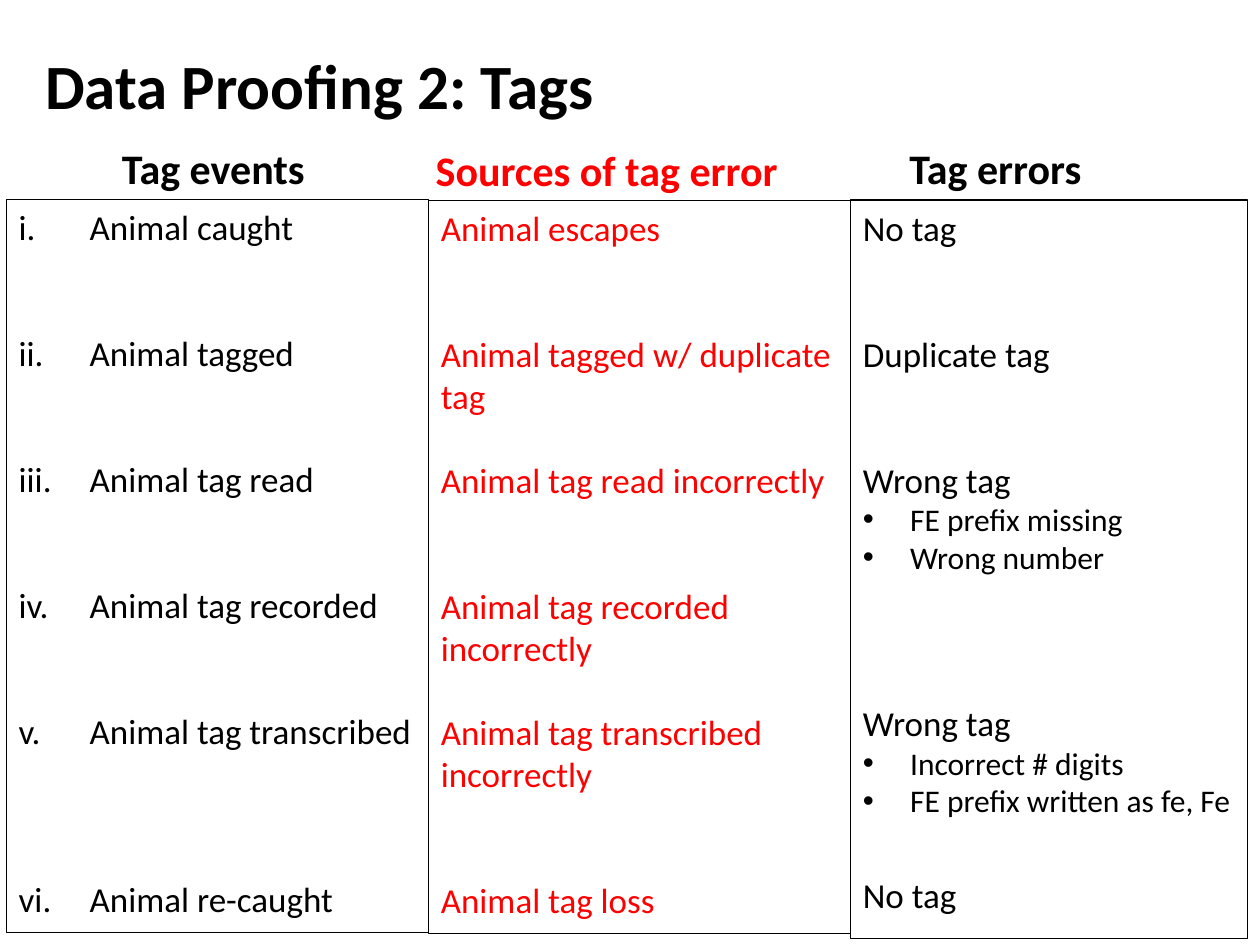
from pptx import Presentation
from pptx.dml.color import RGBColor
from pptx.enum import shapes, text
from pptx.oxml import ns
from pptx.util import Pt
from lxml import etree

BLACK, RED = "000000", "FF0000"
LINE = 24  # height of one 20 pt line


def hue(code):
    return RGBColor.from_string(code)


def mark(par, indent, tag, **attrs):
    """Give a paragraph a hanging indent and a bullet or number."""
    props = par._p.get_or_add_pPr()
    props.set("marL", str(Pt(indent)))
    props.set("indent", str(-Pt(indent)))
    if tag == "buChar":
        etree.SubElement(props, ns.qn("a:buFont"), typeface="Arial")
    etree.SubElement(props, ns.qn("a:" + tag), **attrs)


class Page:
    font = "Calibri"

    def __init__(self, slide):
        self.shapes = slide.shapes

    def style(self, par, words, size, color, bold=False):
        run = par.add_run()
        run.text = words
        form = {"name": self.font, "size": Pt(size), "bold": bold}
        for key, value in form.items():
            setattr(run.font, key, value)
        run.font.color.rgb = hue(color)

    def head(self, words, left, top, width, height, size, color=BLACK):
        box = self.shapes.add_textbox(Pt(left), Pt(top), Pt(width), Pt(height))
        box.text_frame.word_wrap = False
        self.style(box.text_frame.paragraphs[0], words, size, color, True)

    def column(self, rows, left, top, width, height, color=BLACK):
        """Draw a framed list; each row is (words, space before, kind)."""
        box = self.shapes.add_shape(shapes.MSO_SHAPE.RECTANGLE,
                                    Pt(left), Pt(top), Pt(width), Pt(height))
        box.shadow.inherit = False
        box.fill.background()
        box.line.color.rgb = hue(BLACK)
        box.line.width = Pt(0.75)
        frame = box.text_frame
        form = {"word_wrap": True, "vertical_anchor": text.MSO_ANCHOR.TOP}
        for key, value in form.items():
            setattr(frame, key, value)
        for i, (words, gap, kind) in enumerate(rows):
            par = frame.add_paragraph() if i else frame.paragraphs[0]
            par.alignment = text.PP_ALIGN.LEFT
            par.space_before = Pt(gap)
            if kind == "number":
                mark(par, 40.5, "buAutoNum", type="romanLcPeriod")
            elif kind == "bullet":
                mark(par, 27, "buChar", char="•")
            self.style(par, words, 18 if kind == "bullet" else 20, color)


EVENTS = [
    ("Animal caught", 0, "number"),
    ("Animal tagged", 2 * LINE, "number"),
    ("Animal tag read", 2 * LINE, "number"),
    ("Animal tag recorded", 2 * LINE, "number"),
    ("Animal tag transcribed", 2 * LINE, "number"),
    ("Animal re-caught", 3 * LINE, "number"),
]
SOURCES = [
    ("Animal escapes", 0, "plain"),
    ("Animal tagged w/ duplicate tag", 2 * LINE, "plain"),
    ("Animal tag read incorrectly", LINE, "plain"),
    ("Animal tag recorded incorrectly", 2 * LINE, "plain"),
    ("Animal tag transcribed incorrectly", LINE, "plain"),
    ("Animal tag loss", 2 * LINE, "plain"),
]
ERRORS = [
    ("No tag", 0, "plain"),
    ("Duplicate tag", 2 * LINE, "plain"),
    ("Wrong tag", 2 * LINE, "plain"),
    ("FE prefix missing", 0, "bullet"),
    ("Wrong number", 0, "bullet"),
    ("Wrong tag", 3 * LINE, "plain"),
    ("Incorrect # digits", 0, "bullet"),
    ("FE prefix written as fe, Fe", 0, "bullet"),
    ("No tag", LINE + 7, "plain"),
]


def main():
    deck = Presentation()
    deck.slide_width, deck.slide_height = Pt(720), Pt(540)
    page = Page(deck.slides.add_slide(deck.slide_layouts[6]))
    page.head("Data Proofing 2: Tags", 18.7, 23, 331, 51, 36)
    page.head("Tag events", 62.6, 77.8, 120, 36, 24)
    page.head("Sources of tag error", 241.9, 79.2, 212, 36, 24, RED)
    page.head("Tag errors", 512.6, 77.8, 114, 36, 24)
    page.column(EVENTS, 3.6, 113.8, 241.2, 419)
    page.column(SOURCES, 244.8, 114.5, 241.2, 419, RED)
    page.column(ERRORS, 486, 114.2, 227, 422)
    deck.save("out.pptx")


if __name__ == "__main__":
    main()
